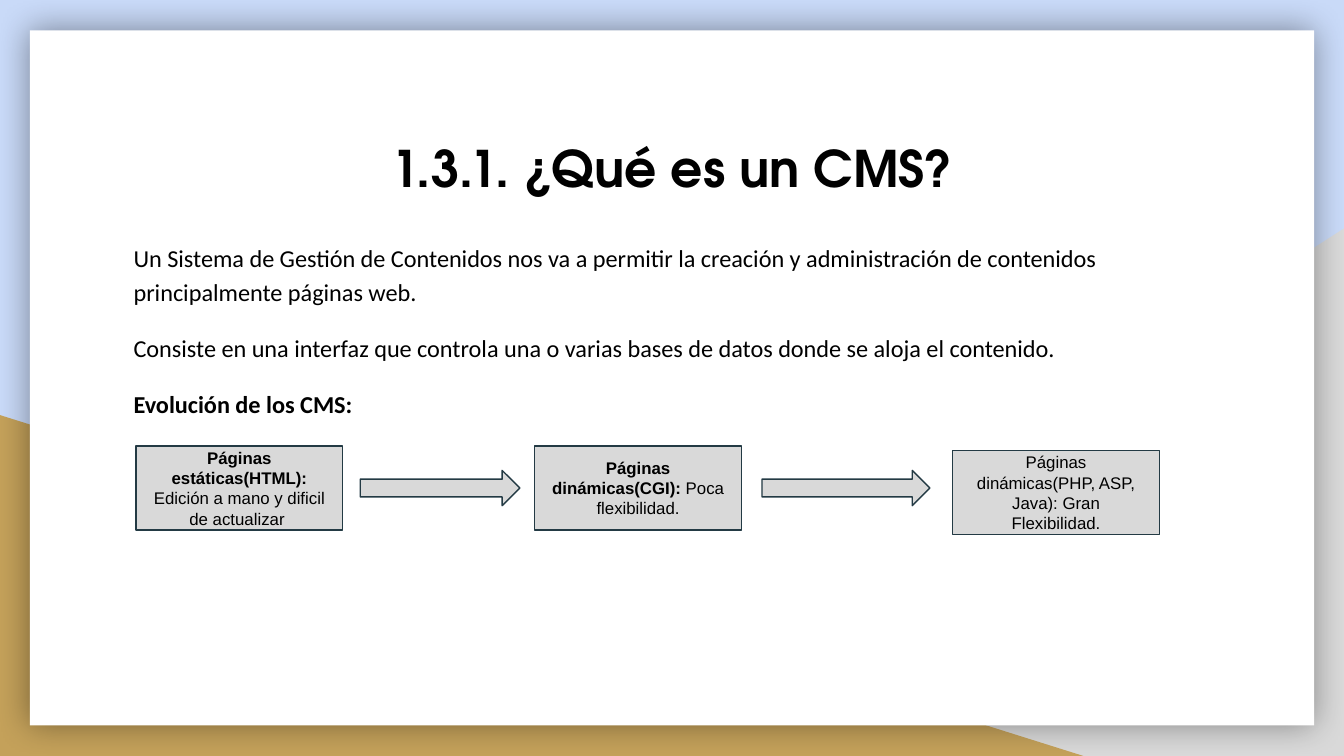
from lxml import etree
from pptx import Presentation
from pptx.dml.color import RGBColor
from pptx.enum.shapes import MSO_SHAPE as Shape
from pptx.enum.text import MSO_ANCHOR as Anchor, PP_ALIGN as Align
from pptx.oxml.ns import qn
from pptx.util import Pt

COLORS = {
    "sky": "C9DAF8",
    "grey": "D9D9D9",
    "gold": "C4A15A",
    "white": "FFFFFF",
    "black": "000000",
    "edge": "233A44",
}


def color(name):
    return RGBColor.from_string(COLORS[name])


class SlideBuilder:
    inset = 7.2
    line_width = 0.75

    def __init__(self, page):
        self.page = page

    def background(self, fill):
        self.page.background.fill.solid()
        self.page.background.fill.fore_color.rgb = color(fill)

    def shape(self, kind, place, fill, edge=None):
        item = self.page.shapes.add_shape(kind, *map(Pt, place))
        item.shadow.inherit = False
        item.fill.solid()
        item.fill.fore_color.rgb = color(fill)
        if edge:
            item.line.color.rgb = color(edge)
            item.line.width = Pt(self.line_width)
        else:
            item.line.fill.background()
        return item

    def triangle(self, place, fill, flipped=False):
        item = self.shape(Shape.RIGHT_TRIANGLE, place, fill)
        if flipped:
            item.element.spPr.find(qn("a:xfrm")).set("flipH", "1")

    def panel(self, place, fill, blur, alpha):
        item = self.shape(Shape.RECTANGLE, place, fill)
        effects = item.element.spPr.find(qn("a:effectLst"))
        shadow = etree.SubElement(effects, qn("a:outerShdw"), blurRad=str(Pt(blur)),
                                  dist="0", dir="0", algn="ctr", rotWithShape="0")
        tint = etree.SubElement(shadow, qn("a:srgbClr"), val=COLORS["black"])
        etree.SubElement(tint, qn("a:alpha"), val=str(alpha * 1000))

    def fill_frame(self, frame, paragraphs, font, size, align, anchor, spacing=None, gap=0):
        frame.word_wrap = True
        frame.vertical_anchor = anchor
        frame.margin_left = frame.margin_right = Pt(self.inset)
        frame.margin_top = frame.margin_bottom = Pt(self.inset)
        for index, spans in enumerate(paragraphs):
            para = frame.add_paragraph() if index else frame.paragraphs[0]
            para.alignment = align
            para.space_before = Pt(gap if index else 0)
            if spacing:
                para.line_spacing = spacing
            for text, bold in spans:
                span = para.add_run()
                span.text = text
                span.font.name = font
                span.font.size = Pt(size)
                span.font.bold = bold
                span.font.color.rgb = color("black")

    def text(self, place, paragraphs, font, size, align=Align.LEFT, **spacing):
        box = self.page.shapes.add_textbox(*map(Pt, place))
        self.fill_frame(box.text_frame, paragraphs, font, size, align, Anchor.TOP, **spacing)

    def stage(self, place, spans):
        box = self.shape(Shape.RECTANGLE, place, "grey", "edge")
        self.fill_frame(box.text_frame, [spans], "Arial", 9, Align.CENTER, Anchor.MIDDLE)

    def arrow(self, place):
        self.shape(Shape.RIGHT_ARROW, place, "grey", "edge")


def main():
    deck = Presentation()
    deck.slide_width, deck.slide_height = Pt(720), Pt(405)
    slide = SlideBuilder(deck.slides.add_slide(deck.slide_layouts[6]))

    slide.background("sky")
    slide.triangle((282.2, 122.4, 437.8, 282.6), "grey", flipped=True)
    slide.triangle((0, 222.4, 580.4, 182.6), "gold")
    slide.panel((16, 16.3, 688, 372.4), "white", blur=18, alpha=40)

    slide.text((64.5, 66.2, 591, 54.7), [[("1.3.1. ¿Qué es un CMS?", True)]],
               "TeX Gyre Adventor", 27, Align.CENTER)
    slide.text((64.5, 121, 591, 228), [
        [("Un Sistema de Gestión de Contenidos nos va a permitir la creación y "
          "administración de contenidos principalmente páginas web.", False)],
        [("Consiste en una interfaz que controla una o varias bases de datos "
          "donde se aloja el contenido.", False)],
        [("Evolución de los CMS:", True)],
    ], "Calibri", 13, spacing=1.15, gap=12)

    stages = [
        (72.8, 239, [("Páginas estáticas(HTML):", True),
                     (" Edición a mano y dificil de actualizar ", False)]),
        (286.4, 239, [("Páginas dinámicas(CGI):", True), (" Poca flexibilidad.", False)]),
        (510.3, 241.3, [("Páginas dinámicas(PHP, ASP, Java): Gran Flexibilidad.", False)]),
    ]
    for left, top, spans in stages:
        slide.stage((left, top, 110.9, 45), spans)
    for left, width in [(193, 85.5), (408.2, 90)]:
        slide.arrow((left, 252, width, 18.9))

    deck.save("out.pptx")


if __name__ == "__main__":
    main()
